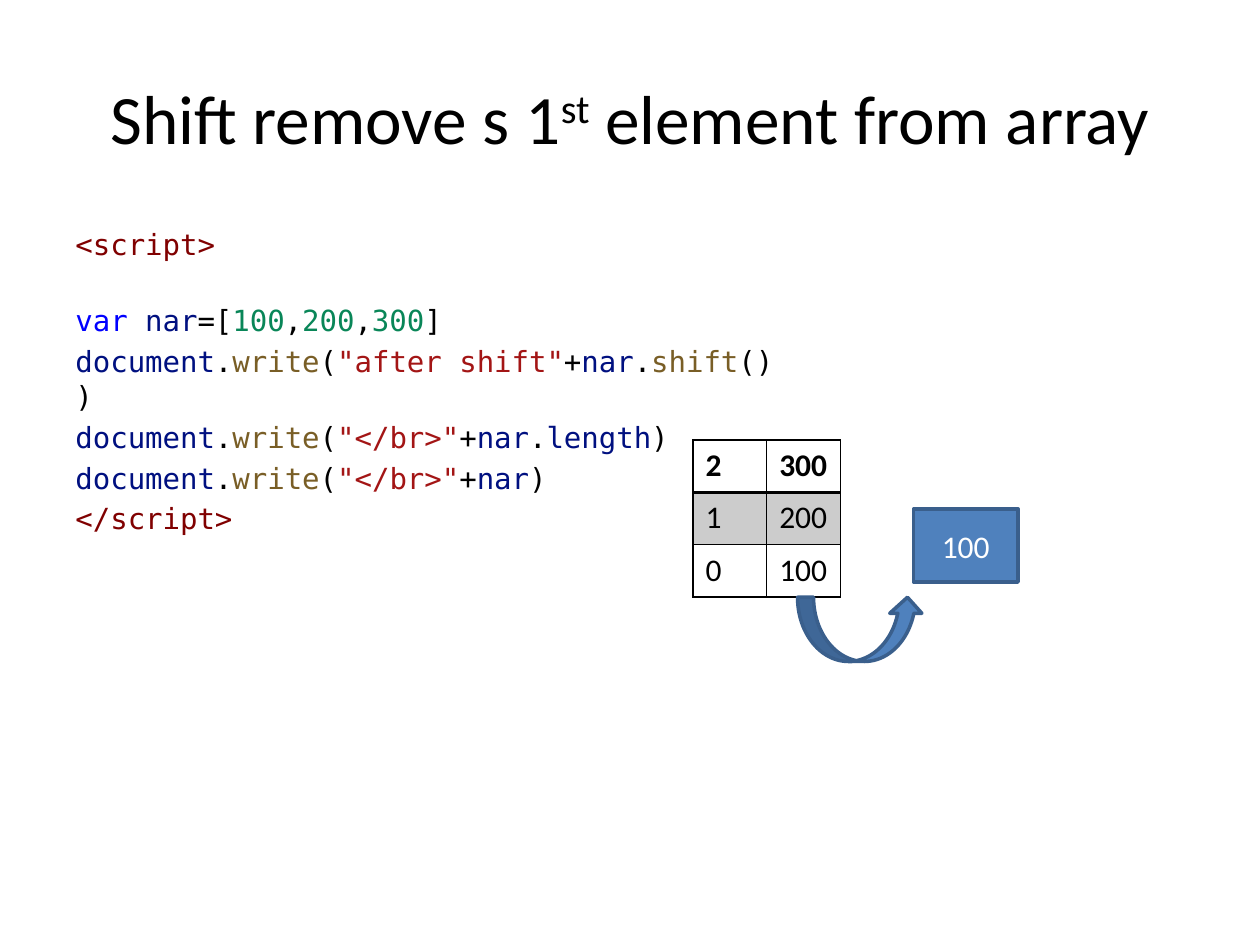
from lxml.etree import SubElement
from pptx import Presentation
from pptx.dml.color import RGBColor
from pptx.enum.shapes import MSO_SHAPE
from pptx.enum.text import MSO_ANCHOR, MSO_AUTO_SIZE, PP_ALIGN
from pptx.oxml.ns import qn
from pptx.util import Inches, Pt

COLORS = {
    "plain": "000000", "tag": "800000", "keyword": "0000FF", "name": "001080",
    "number": "098658", "function": "795E26", "string": "A31515",
    "band": "CCCCCC", "accent": "4F81BD", "outline": "3A5F8C", "white": "FFFFFF",
}
WRITE_CALL = [("document", "name"), (".", "plain"), ("write", "function"), ("(", "plain")]
CODE_LINES = [
    [("<script>", "tag")],
    [("var ", "keyword"), ("nar", "name"), ("=[", "plain"), ("100", "number"), (",", "plain"),
     ("200", "number"), (",", "plain"), ("300", "number"), ("]", "plain")],
    WRITE_CALL + [('"after shift"', "string"), ("+", "plain"), ("nar", "name"),
                  (".", "plain"), ("shift", "function"), ("())", "plain")],
    WRITE_CALL + [('"</br>"', "string"), ("+", "plain"), ("nar", "name"),
                  (".", "plain"), ("length", "name"), (")", "plain")],
    WRITE_CALL + [('"</br>"', "string"), ("+", "plain"), ("nar", "name"), (")", "plain")],
    [("</script>", "tag")],
]
ARRAY_ROWS = [("2", "300"), ("1", "200"), ("0", "100")]


def color(name):
    """Return the named colour."""
    return RGBColor.from_string(COLORS[name])


def format_run(run, size, color_name, font="Calibri", bold=False):
    """Set the font of a run."""
    run.font.name = font
    run.font.size = Pt(size)
    run.font.bold = bold
    run.font.color.rgb = color(color_name)


def add_title(slide, left, top, width, height):
    """Fill the title placeholder, with a raised ordinal ending."""
    title = slide.shapes.title
    title.left, title.top = Inches(left), Inches(top)
    title.width, title.height = Inches(width), Inches(height)
    text_frame = title.text_frame
    text_frame.auto_size = MSO_AUTO_SIZE.NONE
    text_frame.vertical_anchor = MSO_ANCHOR.MIDDLE
    paragraph = text_frame.paragraphs[0]
    paragraph.alignment = PP_ALIGN.CENTER
    for text in ("Shift remove s 1", "st", " element from array"):
        run = paragraph.add_run()
        run.text = text
        format_run(run, 39.6, "plain")
        if text == "st":
            run.font._element.set("baseline", "30000")


def add_code(slide, left, top, width, height):
    """Write the code listing with coloured tokens and unbreakable spaces."""
    box = slide.shapes.add_textbox(Inches(left), Inches(top), Inches(width), Inches(height))
    text_frame = box.text_frame
    text_frame.word_wrap = True
    for index, tokens in enumerate(CODE_LINES):
        paragraph = text_frame.add_paragraph() if index else text_frame.paragraphs[0]
        paragraph.line_spacing = Pt(20)
        paragraph.space_before = Pt(23.3 if index == 1 else 3.3)
        for text, role in tokens:
            run = paragraph.add_run()
            run.text = text.replace(" ", chr(160))
            format_run(run, 16.6, role, "DejaVu Sans Mono")


def add_borders(cell, widths):
    """Draw black cell borders, given the width in points of each side."""
    properties = cell._tc.get_or_add_tcPr()
    for side, width in widths.items():
        line = SubElement(properties, qn(f"a:ln{side}"), w=str(Pt(width)))
        fill = SubElement(line, qn("a:solidFill"))
        SubElement(fill, qn("a:srgbClr"), val=COLORS["plain"])


def add_array_table(slide, left, top, width, height):
    """Add the table of array indexes and values."""
    frame = slide.shapes.add_table(len(ARRAY_ROWS), 2, Inches(left), Inches(top),
                                   Inches(width), Inches(height))
    table = frame.table
    table.horz_banding = False
    for row_index, values in enumerate(ARRAY_ROWS):
        for column_index, value in enumerate(values):
            cell = table.cell(row_index, column_index)
            cell.text_frame.text = value
            format_run(cell.text_frame.paragraphs[0].runs[0], 18, "plain", bold=row_index == 0)
            add_borders(cell, {"L": 1, "R": 1, "T": 2 if row_index == 1 else 1,
                               "B": 2 if row_index == 0 else 1})
            if row_index == 1:
                cell.fill.solid()
                cell.fill.fore_color.rgb = color("band")
            else:
                cell.fill.background()


def add_accent_shape(slide, kind, left, top, width, height):
    """Add a blue outlined preset shape."""
    shape = slide.shapes.add_shape(kind, Inches(left), Inches(top), Inches(width), Inches(height))
    shape.shadow.inherit = False
    shape.fill.solid()
    shape.fill.fore_color.rgb = color("accent")
    shape.line.color.rgb = color("outline")
    shape.line.width = Pt(2)
    return shape


def add_removed_element(slide, left, top):
    """Add the curved arrow and the box that holds the removed value."""
    add_accent_shape(slide, MSO_SHAPE.CURVED_UP_ARROW, left, top + 0.7, 1, 0.51)
    box = add_accent_shape(slide, MSO_SHAPE.RECTANGLE, left + 0.92, top, 0.83, 0.58)
    box.text_frame.text = "100"
    box.text_frame.vertical_anchor = MSO_ANCHOR.MIDDLE
    paragraph = box.text_frame.paragraphs[0]
    paragraph.alignment = PP_ALIGN.CENTER
    format_run(paragraph.runs[0], 18, "white")


def main():
    """Build and save the slide."""
    presentation = Presentation()
    presentation.slide_width, presentation.slide_height = Inches(10), Inches(7.5)
    slide = presentation.slides.add_slide(presentation.slide_layouts[5])
    add_title(slide, 0.5, 0.3, 9, 1.25)
    add_code(slide, 0.5, 1.75, 5.85, 2.17)
    add_array_table(slide, 5.5, 3.49, 1.17, 1.25)
    add_removed_element(slide, 6.33, 4.04)
    presentation.save("out.pptx")


if __name__ == "__main__":
    main()
